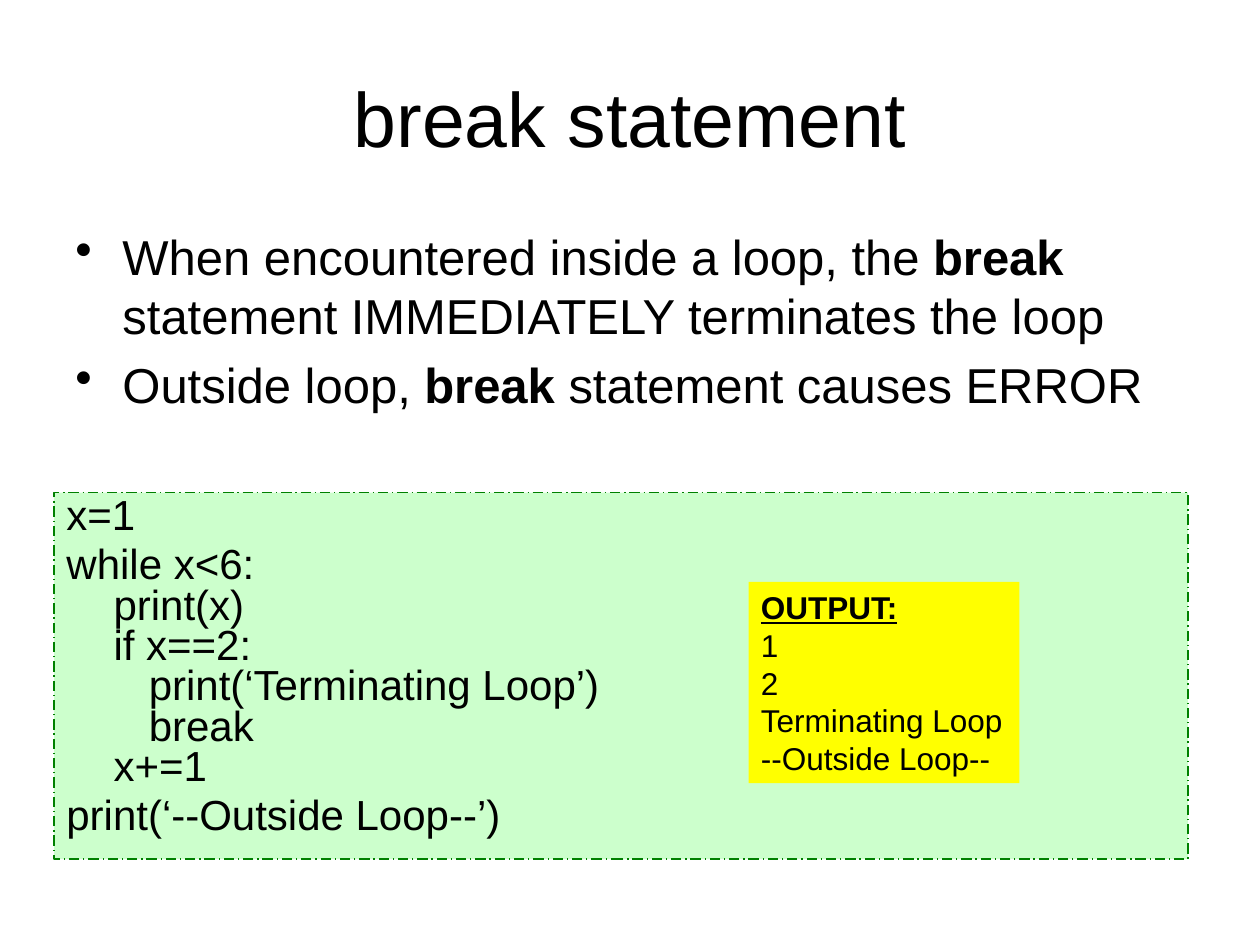
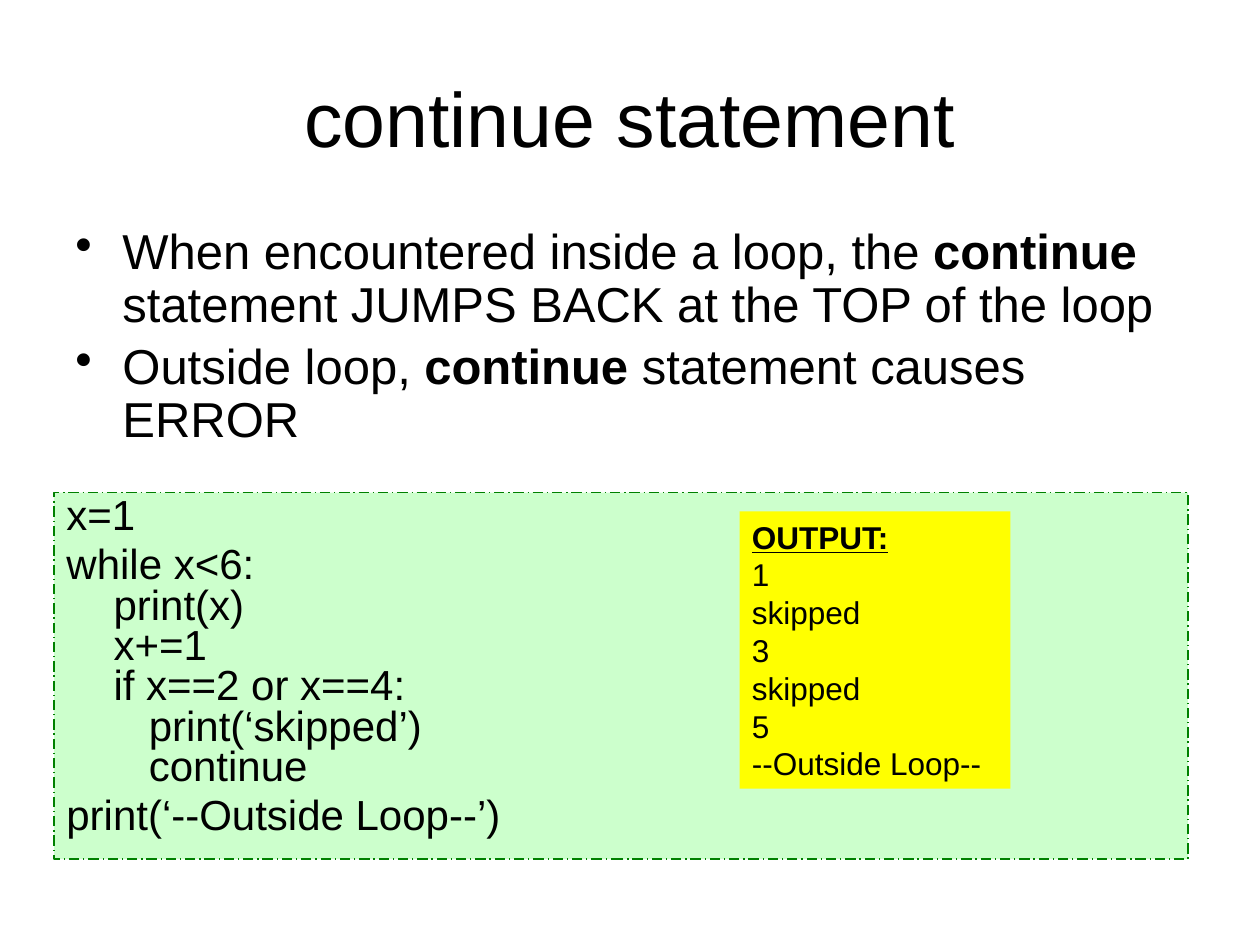
"""Build two slides on the break and continue statements of Python loops."""
import dataclasses
import pptx
import pptx.dml.color
import pptx.enum.dml
import pptx.enum.shapes
import pptx.enum.text
import pptx.oxml
import pptx.oxml.ns
import pptx.util
from pptx.util import Cm, Pt

ANCHOR = pptx.enum.text.MSO_ANCHOR
ALIGN = pptx.enum.text.PP_ALIGN


@dataclasses.dataclass(frozen=True)
class Theme:
    font: str = "Arial"
    ink: str = "000000"
    code_fill: str = "CCFFCC"
    code_edge: str = "008000"
    output_fill: str = "FFFF00"
    title_size: int = 44
    body_size: int = 28
    code_size: int = 24
    output_size: int = 18
    space_share: float = 0.2


THEME = Theme()
TITLE_BOX = (1.27, 0.76, 22.86, 3.18)
CODE_BOX = (1.09, 9.93, 22.86, 7.39)
HANGING = 0.95
CODE_INDENTS = (0, 0.95, 1.66)

LESSONS = [
    {
        "keyword": "break",
        "effect": "IMMEDIATELY terminates the loop",
        "body_box": (1.27, 4.45, 22.86, 4.29),
        "body_spacing": 1.0,
        "code": [(0, "x=1"), (0, "while x<6:"), (1, "print(x)"), (1, "if x==2:"),
                 (2, "print(‘Terminating Loop’)"), (2, "break"), (1, "x+=1"),
                 (0, "print(‘--Outside Loop--’)")],
        "output": ["1", "2", "Terminating Loop", "--Outside Loop--"],
        "output_box": (15.09, 11.73, 5.46, 4.06),
    },
    {
        "keyword": "continue",
        "effect": "JUMPS BACK at the TOP of the loop",
        "body_box": (1.27, 4.45, 22.86, 4.88),
        "body_spacing": 0.9,
        "code": [(0, "x=1"), (0, "while x<6:"), (1, "print(x)"), (1, "x+=1"),
                 (1, "if x==2 or x==4:"), (2, "print(‘skipped’)"), (2, "continue"),
                 (0, "print(‘--Outside Loop--’)")],
        "output": ["1", "skipped", "3", "skipped", "5", "--Outside Loop--"],
        "output_box": (14.91, 10.31, 5.46, 5.59),
    },
]


def rgb(code):
    return pptx.dml.color.RGBColor.from_string(code)


def apply(target, formats):
    for name, value in formats.items():
        setattr(target, name, value)


def place(shape, box):
    apply(shape, dict(zip(("left", "top", "width", "height"), map(Cm, box))))


def write(paragraph, runs, size, **formats):
    apply(paragraph, {"alignment": ALIGN.LEFT, **formats})
    for text, emphasis in runs:
        run = paragraph.add_run()
        run.text = text
        apply(run.font, {"name": THEME.font, "size": Pt(size), **emphasis})
        run.font.color.rgb = rgb(THEME.ink)


def paragraphs(frame, count):
    apply(frame, {"word_wrap": True, "vertical_anchor": ANCHOR.TOP})
    return [frame.paragraphs[0]] + [frame.add_paragraph() for _ in range(count - 1)]


def indent(paragraph, margin, first=0, bullet=None):
    properties = paragraph._p.get_or_add_pPr()
    properties.set("marL", str(Cm(margin)))
    properties.set("indent", str(Cm(first)))
    if bullet:
        mark = pptx.oxml.parse_xml(
            f'<a:buChar {pptx.oxml.ns.nsdecls("a")} char="{bullet}"/>')
        properties.append(mark)


def add_panel(slide, box, fill):
    panel = slide.shapes.add_shape(
        pptx.enum.shapes.MSO_SHAPE.RECTANGLE, *map(Cm, box))
    panel.shadow.inherit = False
    panel.fill.solid()
    panel.fill.fore_color.rgb = rgb(fill)
    panel.line.fill.background()
    return panel


def add_title(slide, text):
    title = slide.shapes.title
    place(title, TITLE_BOX)
    title.text_frame.vertical_anchor = ANCHOR.MIDDLE
    write(title.text_frame.paragraphs[0], [(text, {})], THEME.title_size,
          alignment=ALIGN.CENTER)


def add_body(slide, lesson):
    keyword = (lesson["keyword"], {"bold": True})
    points = [
        [("When encountered inside a loop, the ", {}), keyword,
         (f" statement {lesson['effect']}", {})],
        [("Outside loop, ", {}), keyword, (" statement causes ERROR", {})],
    ]
    body = slide.shapes.add_textbox(*map(Cm, lesson["body_box"]))
    for paragraph, runs in zip(paragraphs(body.text_frame, len(points)), points):
        write(paragraph, runs, THEME.body_size, line_spacing=lesson["body_spacing"],
              space_before=Pt(THEME.body_size * THEME.space_share))
        indent(paragraph, HANGING, -HANGING, "•")


def add_code(slide, lines):
    panel = add_panel(slide, CODE_BOX, THEME.code_fill)
    panel.line.color.rgb = rgb(THEME.code_edge)
    apply(panel.line, {"width": Pt(0.75),
                       "dash_style": pptx.enum.dml.MSO_LINE.LONG_DASH_DOT})
    for paragraph, (level, text) in zip(paragraphs(panel.text_frame, len(lines)), lines):
        gap = 0 if level else THEME.code_size * THEME.space_share
        write(paragraph, [(text, {})], THEME.code_size, line_spacing=0.8,
              space_before=Pt(gap))
        indent(paragraph, CODE_INDENTS[level])


def add_output(slide, lines, box):
    panel = add_panel(slide, box, THEME.output_fill)
    rows = [("OUTPUT:", {"bold": True, "underline": True})]
    rows += [(line, {}) for line in lines]
    for paragraph, row in zip(paragraphs(panel.text_frame, len(rows)), rows):
        write(paragraph, [row], THEME.output_size)


def main():
    deck = pptx.Presentation()
    apply(deck, {"slide_width": Cm(25.4), "slide_height": Cm(19.05)})
    title_only = deck.slide_layouts[5]
    for lesson in LESSONS:
        slide = deck.slides.add_slide(title_only)
        add_title(slide, f"{lesson['keyword']} statement")
        add_body(slide, lesson)
        add_code(slide, lesson["code"])
        add_output(slide, lesson["output"], lesson["output_box"])
    deck.save("out.pptx")


main()
